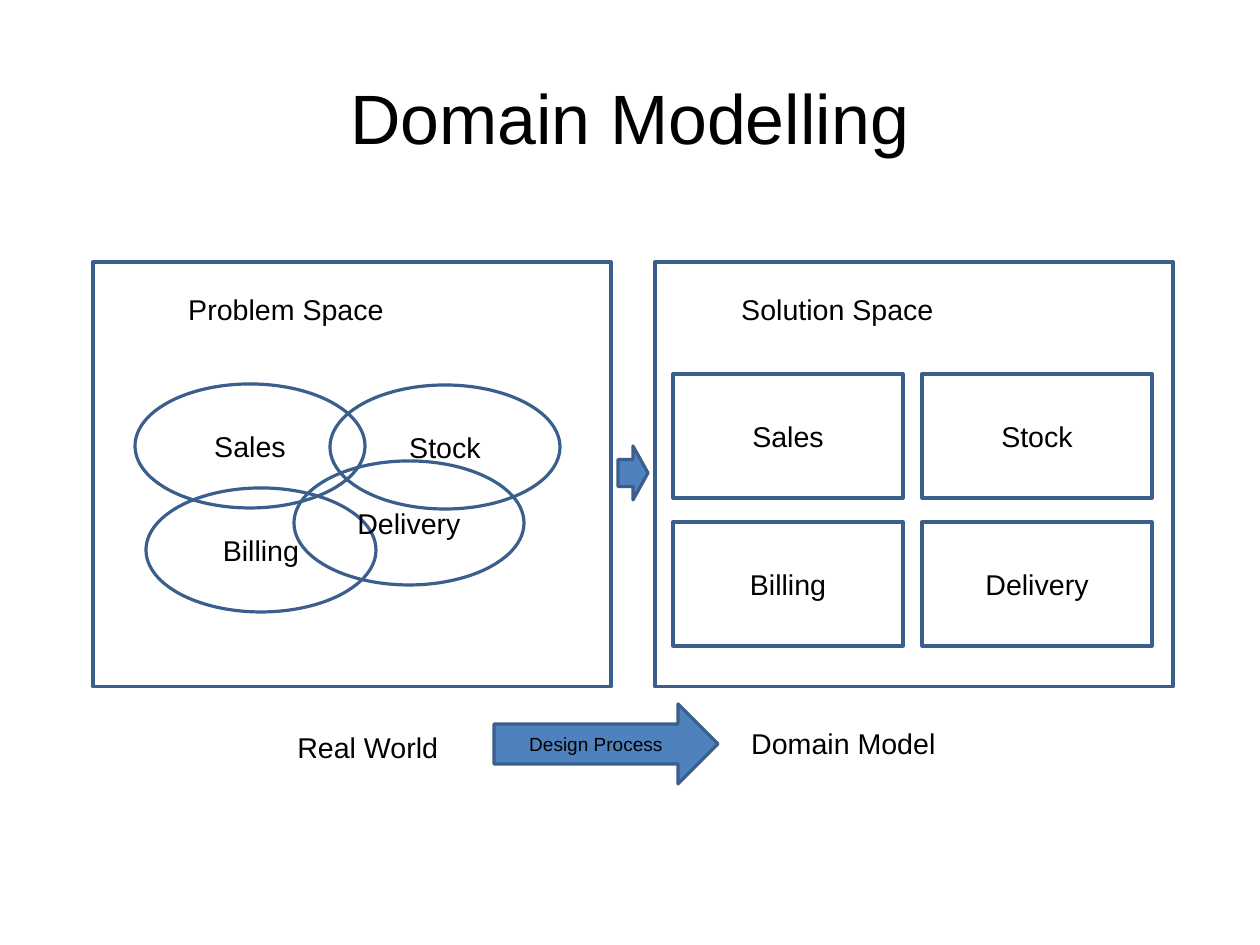
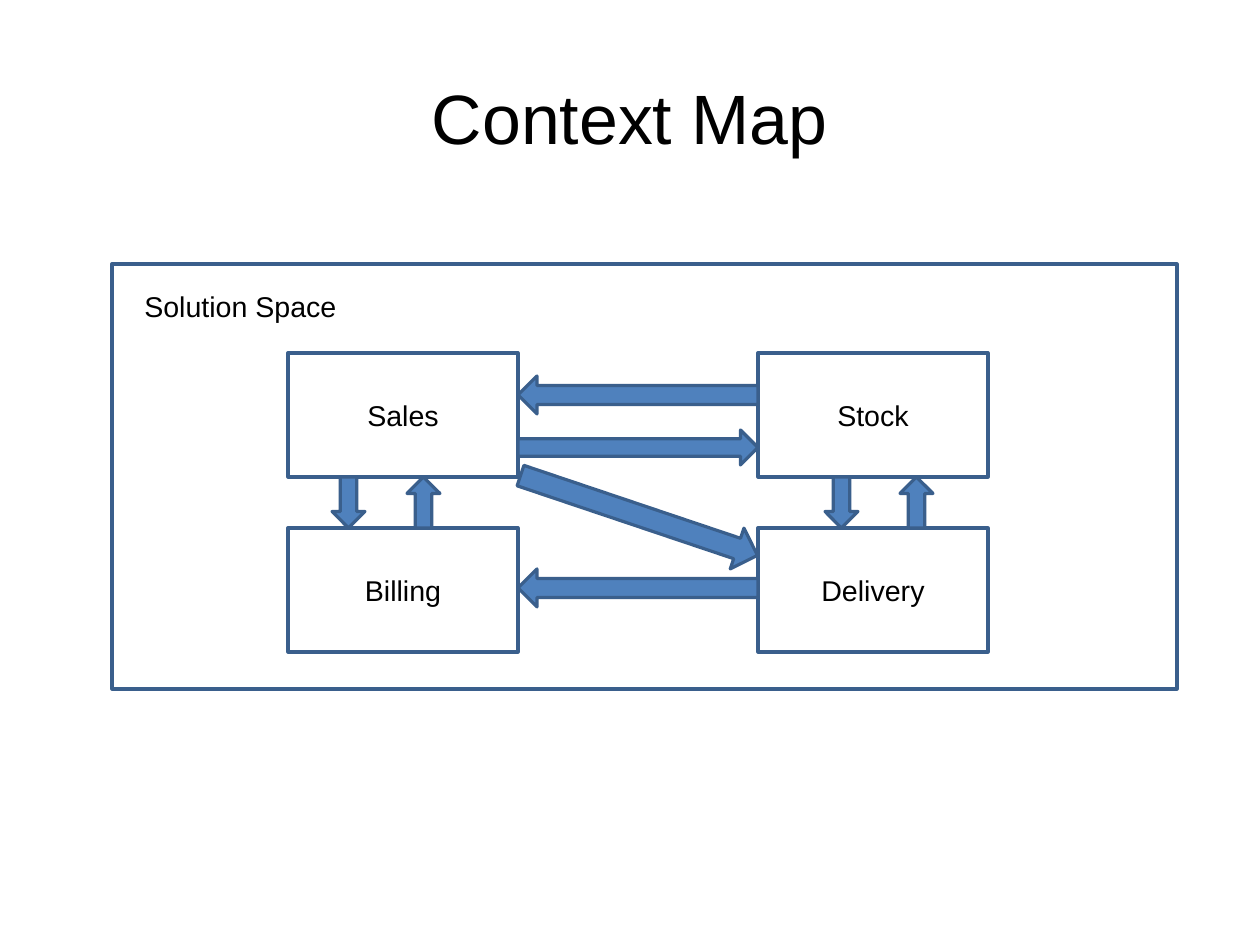
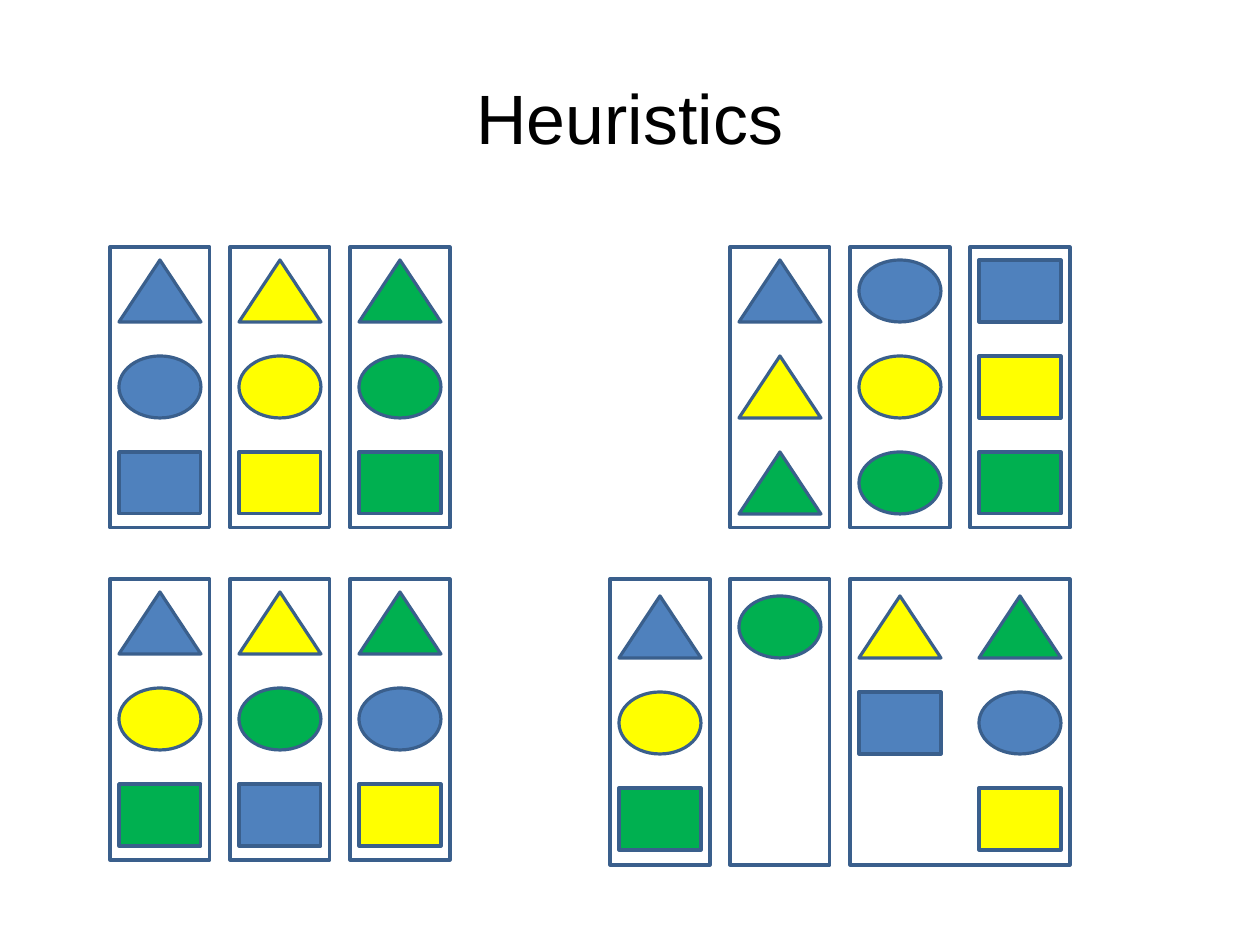
from dataclasses import dataclass

from pptx import Presentation
from pptx.dml.color import RGBColor
from pptx.enum.shapes import MSO_SHAPE
from pptx.enum.text import MSO_ANCHOR, PP_ALIGN
from pptx.util import Emu, Pt

PX = 8000  # EMU per px


@dataclass(frozen=True)
class Theme:
    font: str = "Arial"
    ink: str = "000000"
    white: str = "FFFFFF"
    outline: str = "3A5F8C"
    blue: str = "4F81BD"
    yellow: str = "FFFF00"
    green: str = "00B050"
    title_size: int = 44
    body_size: int = 18
    small_size: int = 12
    line_width: int = 2


THEME = Theme()
SLIDE_SIZE = (1260, 945)
TITLE_BOX = (63, 38, 1134, 158)
LABEL_SIZE = (347, 46)
BOX_SIZE = (230, 124)
CONTEXTS = (("Sales", "Stock"), ("Billing", "Delivery"))

# Domain Modelling
SPACES = [(93, 262, 518, 425), (655, 262, 518, 425)]
SPACE_ARROW = (618, 446, 30, 54)
PROBLEM_OVALS = [("Sales", 135, 384), ("Billing", 146, 488),
                 ("Stock", 330, 385), ("Delivery", 294, 461)]
MODEL_COLUMNS, MODEL_ROWS = (673, 922), (374, 522)
MODEL_LABELS = [("Problem Space", 177, 286), ("Solution Space", 730, 286),
                ("Real World", 286, 724), ("Domain Model", 740, 720)]
PROCESS_ARROW = (494, 704, 224, 80)

# Context Map
MAP_SPACE = (112, 264, 1065, 425)
MAP_LABEL = ("Solution Space", 133, 283)
MAP_COLUMNS, MAP_ROWS = (288, 758), (353, 528)
ACROSS_ARROWS = [("left", 376, 38), ("right", 430, 35), ("left", 569, 38)]  # direction, top, height
DOWN_ARROW_OFFSETS = (44, 67)  # from the left side of each column
UP_ARROW_STEP, VERTICAL_ARROW_WIDTH = 75, 33
SLANTED_ARROW, SLANT = (514, 494, 250, 43), 18.6

# Heuristics: each frame holds one or more columns of figures, top to bottom
FRAME_WIDTH, COLUMN_PITCH = 100, 120
FIGURE_SIZE, FIGURE_INSET, FIGURE_PITCH = (82, 62), 9, 96
GROUPS = [
    {"at": (110, 247), "height": 281, "padding": 13, "frames": [
        [["blue triangle", "blue ellipse", "blue rectangle"]],
        [["yellow triangle", "yellow ellipse", "yellow rectangle"]],
        [["green triangle", "green ellipse", "green rectangle"]]]},
    {"at": (730, 247), "height": 281, "padding": 13, "frames": [
        [["blue triangle", "yellow triangle", "green triangle"]],
        [["blue ellipse", "yellow ellipse", "green ellipse"]],
        [["blue rectangle", "yellow rectangle", "green rectangle"]]]},
    {"at": (110, 579), "height": 281, "padding": 13, "frames": [
        [["blue triangle", "yellow ellipse", "green rectangle"]],
        [["yellow triangle", "green ellipse", "blue rectangle"]],
        [["green triangle", "blue ellipse", "yellow rectangle"]]]},
    {"at": (610, 579), "height": 286, "padding": 17, "frames": [
        [["blue triangle", "yellow ellipse", "green rectangle"]],
        [["green ellipse"]],
        [["yellow triangle", "blue rectangle"],
         ["green triangle", "blue ellipse", "yellow rectangle"]]]},
]

PRESETS = {
    "rectangle": MSO_SHAPE.RECTANGLE,
    "ellipse": MSO_SHAPE.OVAL,
    "triangle": MSO_SHAPE.ISOSCELES_TRIANGLE,
    "left": MSO_SHAPE.LEFT_ARROW,
    "right": MSO_SHAPE.RIGHT_ARROW,
    "up": MSO_SHAPE.UP_ARROW,
    "down": MSO_SHAPE.DOWN_ARROW,
}


def to_emu(box):
    return [Emu(length * PX) for length in box]


def write_text(shape, text, size=THEME.body_size, align=PP_ALIGN.CENTER,
               anchor=MSO_ANCHOR.MIDDLE, inset=None):
    frame = shape.text_frame
    frame.word_wrap = True
    frame.vertical_anchor = anchor
    if inset is not None:
        frame.margin_left = frame.margin_right = Emu(inset * PX)
        frame.margin_top = frame.margin_bottom = Emu(inset * PX)
    paragraph = frame.paragraphs[0]
    paragraph.alignment = align
    run = paragraph.add_run()
    run.text = text
    run.font.name = THEME.font
    run.font.size = Pt(size)
    run.font.color.rgb = RGBColor.from_string(THEME.ink)


def add_figure(slide, preset, box, fill=None, text=None, **text_format):
    shape = slide.shapes.add_shape(PRESETS[preset], *to_emu(box))
    shape.shadow.inherit = False
    if fill:
        shape.fill.solid()
        shape.fill.fore_color.rgb = RGBColor.from_string(fill)
    else:
        shape.fill.background()
    shape.line.color.rgb = RGBColor.from_string(THEME.outline)
    shape.line.width = Pt(THEME.line_width)
    if text:
        write_text(shape, text, **text_format)
    return shape


def add_arrow(slide, direction, box, **text_format):
    return add_figure(slide, direction, box, THEME.blue, **text_format)


def add_label(slide, text, left, top):
    label = slide.shapes.add_textbox(*to_emu((left, top, *LABEL_SIZE)))
    write_text(label, text, align=PP_ALIGN.LEFT, anchor=MSO_ANCHOR.TOP)


def add_titled_slide(presentation, title):
    slide = presentation.slides.add_slide(presentation.slide_layouts[6])
    title_box = slide.shapes.add_textbox(*to_emu(TITLE_BOX))
    write_text(title_box, title, size=THEME.title_size, inset=0)
    return slide


def add_contexts(slide, columns, rows):
    for top, names in zip(rows, CONTEXTS):
        for left, name in zip(columns, names):
            add_figure(slide, "rectangle", (left, top, *BOX_SIZE), text=name)


def build_domain_modelling(presentation):
    slide = add_titled_slide(presentation, "Domain Modelling")
    for space in SPACES:
        add_figure(slide, "rectangle", space, THEME.white)
    add_arrow(slide, "right", SPACE_ARROW)
    for name, left, top in PROBLEM_OVALS:
        add_figure(slide, "ellipse", (left, top, *BOX_SIZE), text=name)
    add_contexts(slide, MODEL_COLUMNS, MODEL_ROWS)
    for label in MODEL_LABELS:
        add_label(slide, *label)
    add_arrow(slide, "right", PROCESS_ARROW, text="Design Process", size=THEME.small_size)


def build_context_map(presentation):
    slide = add_titled_slide(presentation, "Context Map")
    add_figure(slide, "rectangle", MAP_SPACE, THEME.white)
    add_label(slide, *MAP_LABEL)
    add_contexts(slide, MAP_COLUMNS, MAP_ROWS)

    box_width, box_height = BOX_SIZE
    gap_left = MAP_COLUMNS[0] + box_width
    gap_width = MAP_COLUMNS[1] - gap_left
    for direction, top, height in ACROSS_ARROWS:
        add_arrow(slide, direction, (gap_left, top, gap_width, height))

    gap_top = MAP_ROWS[0] + box_height
    gap_height = MAP_ROWS[1] - gap_top
    for column, offset in zip(MAP_COLUMNS, DOWN_ARROW_OFFSETS):
        for index, direction in enumerate(("down", "up")):
            left = column + offset + index * UP_ARROW_STEP
            add_arrow(slide, direction, (left, gap_top, VERTICAL_ARROW_WIDTH, gap_height))
    add_arrow(slide, "right", SLANTED_ARROW).rotation = SLANT


def build_heuristics(presentation):
    slide = add_titled_slide(presentation, "Heuristics")
    for group in GROUPS:
        left, top = group["at"]
        for columns in group["frames"]:
            width = FRAME_WIDTH + (len(columns) - 1) * COLUMN_PITCH
            add_figure(slide, "rectangle", (left, top, width, group["height"]))
            for column in columns:
                for row, figure in enumerate(column):
                    colour, preset = figure.split()
                    figure_top = top + group["padding"] + row * FIGURE_PITCH
                    add_figure(slide, preset, (left + FIGURE_INSET, figure_top, *FIGURE_SIZE),
                               getattr(THEME, colour))
                left += COLUMN_PITCH


def main():
    presentation = Presentation()
    presentation.slide_width, presentation.slide_height = to_emu(SLIDE_SIZE)
    build_domain_modelling(presentation)
    build_context_map(presentation)
    build_heuristics(presentation)
    presentation.save("out.pptx")


if __name__ == "__main__":
    main()
